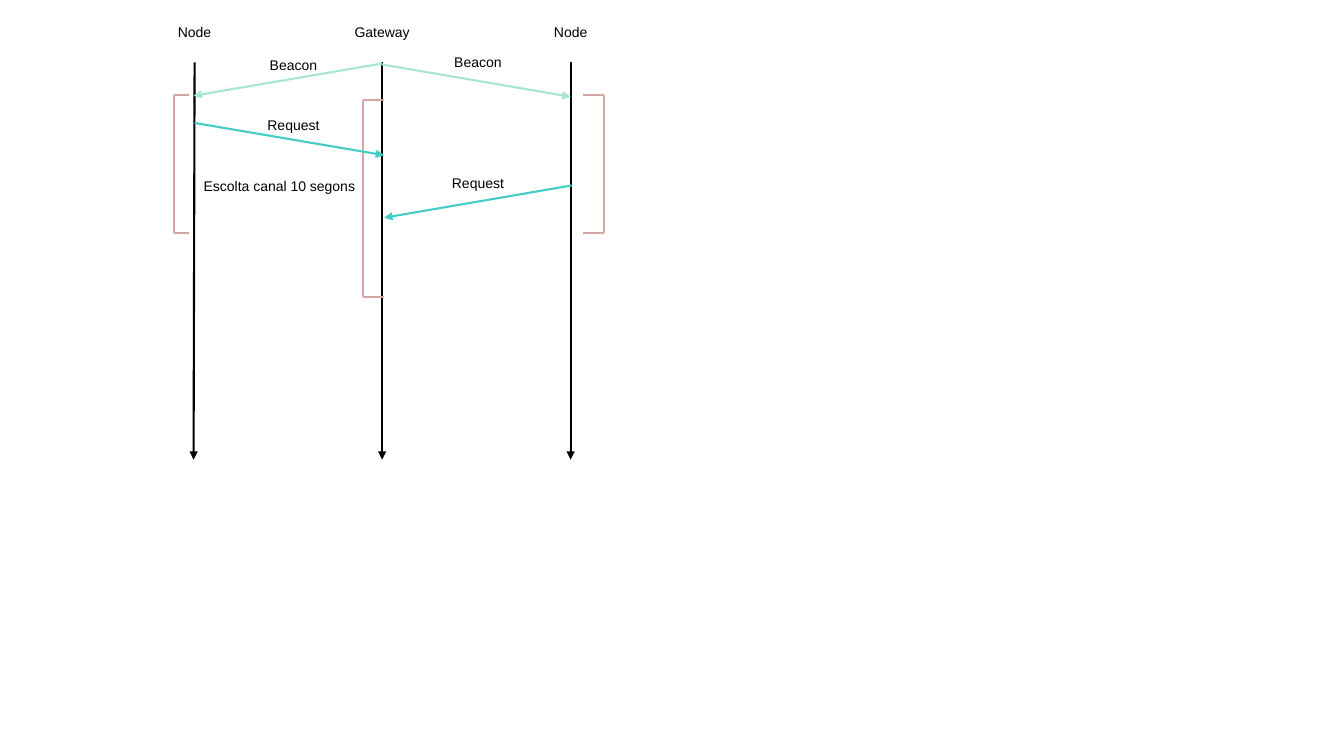
from dataclasses import dataclass

from lxml import etree
from pptx import Presentation
from pptx.dml.color import RGBColor
from pptx.enum import shapes, text
from pptx.oxml import ns
from pptx.util import Inches, Pt


@dataclass(frozen=True)
class Theme:
    font: str = "Arial"
    size: float = 10
    line: float = 1.5
    ink: str = "000000"
    beacon: str = "A8E6CF"
    request: str = "43CDC4"
    bracket: str = "D4A5A5"


THEME = Theme()


def add_line(parent, start, end, color, arrow=False):
    points = [Inches(v) for v in (*start, *end)]
    line = parent.add_connector(shapes.MSO_CONNECTOR.STRAIGHT, *points)
    line.line.color.rgb = RGBColor.from_string(color)
    line.line.width = Pt(THEME.line)
    if arrow:
        ln = line.line._get_or_add_ln()
        etree.SubElement(ln, ns.qn("a:tailEnd"), type="triangle")
    etree.SubElement(line._element.spPr, ns.qn("a:effectLst"))


def add_label(s, words, center, top, width, wrap=False):
    sp = s.shapes.add_textbox(Inches(center - width / 2), Inches(top),
                              Inches(width), Inches(0.27))
    tf = sp.text_frame
    tf.word_wrap = wrap
    tf.auto_size = text.MSO_AUTO_SIZE.SHAPE_TO_FIT_TEXT
    p = tf.paragraphs[0]
    p.alignment = text.PP_ALIGN.CENTER
    r = p.add_run()
    r.text = words
    r.font.name = THEME.font
    r.font.size = Pt(THEME.size)
    r.font.color.rgb = RGBColor.from_string(THEME.ink)


def add_bracket(s, spine, tip, top, bottom):
    group = s.shapes.add_group_shape().shapes
    for start, end in (((spine, top), (tip, top)),
                       ((spine, bottom), (spine, top)),
                       ((spine, bottom), (tip, bottom))):
        add_line(group, start, end, THEME.bracket)


def sequence_diagram(s, left, top, width, height):
    node_1, gateway, node_2 = left, left + 1.86, left + width
    bottom = top + height

    # Participants and their lifelines
    for name, x, label_width, foot in (("Node", node_1, 0.54, -0.01),
                                       ("Gateway", gateway, 0.75, 0),
                                       ("Node", node_2, 0.54, 0)):
        add_label(s, name, x, top, label_width)
        add_line(s.shapes, (x, top + 0.44), (x + foot, bottom),
                 THEME.ink, arrow=True)

    # Listening windows: spine, tip, top, bottom
    for spine, tip, start, end in (
            (node_1 - 0.2, node_1 - 0.06, 0.76, 2.13),
            (node_2 + 0.33, node_2 + 0.12, 0.76, 2.13),
            (gateway - 0.19, gateway + 0.02, 0.81, 2.77)):
        add_bracket(s, spine, tip, top + start, top + end)

    # Messages: each falls by the same drop on its way
    drop = 0.32
    for name, color, x1, x2, y, label_x, label_y, label_width in (
            ("Beacon", THEME.beacon, gateway, node_1 - 0.01,
             0.45, 0.98, 0.33, 0.67),
            ("Beacon", THEME.beacon, gateway, node_2,
             0.46, 2.81, 0.3, 0.67),
            ("Request", THEME.request, node_1, gateway + 0.02,
             1.04, 0.98, 0.93, 0.72),
            ("Request", THEME.request, node_2 + 0.01, gateway + 0.02,
             1.66, 2.81, 1.5, 0.72)):
        add_line(s.shapes, (x1, top + y), (x2, top + y + drop),
                 color, arrow=True)
        add_label(s, name, left + label_x, top + label_y, label_width)

    # Listening time
    add_label(s, "Escolta canal 10 segons", left + 0.84, top + 1.53,
              1.72, wrap=True)


def main():
    prs = Presentation()
    prs.slide_width, prs.slide_height = Inches(13.33), Inches(7.5)
    s = prs.slides.add_slide(prs.slide_layouts[6])
    sequence_diagram(s, left=1.93, top=0.18, width=3.73, height=4.38)
    prs.save("out.pptx")


if __name__ == "__main__":
    main()
